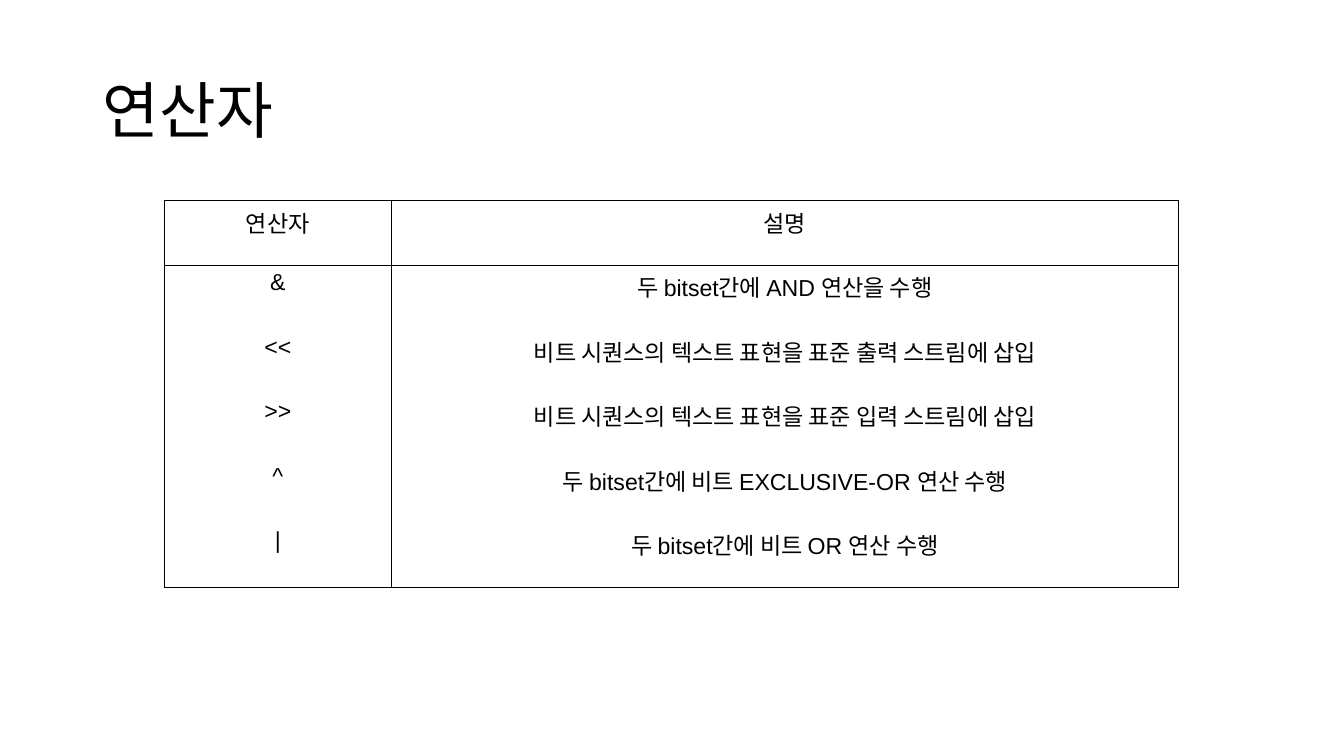
from dataclasses import dataclass

from lxml import etree
from pptx import Presentation
from pptx import util as u
from pptx.dml.color import RGBColor
from pptx.enum import text
from pptx.oxml import ns


@dataclass(frozen=True)
class Theme:
    font: str = "Arial"
    ink: str = "000000"
    title: float = 44
    body: float = 16.5
    border: float = 1


THEME = Theme()
ROWS = [
    ("연산자", "설명"),
    ("&", "두 bitset간에 AND 연산을 수행"),
    ("<<", "비트 시퀀스의 텍스트 표현을 표준 출력 스트림에 삽입"),
    (">>", "비트 시퀀스의 텍스트 표현을 표준 입력 스트림에 삽입"),
    ("^", "두 bitset간에 비트 EXCLUSIVE-OR 연산 수행"),
    ("|", "두 bitset간에 비트 OR 연산 수행"),
]


def write(tf, content, size, align):
    p = tf.paragraphs[0]
    p.text = content
    p.alignment = align
    p.font.name = THEME.font
    p.font.size = u.Pt(size)
    p.font.color.rgb = RGBColor.from_string(THEME.ink)
    return p


def set_borders(cell, sides):
    tcPr = cell._tc.get_or_add_tcPr()
    for i, side in enumerate("LRTB"):
        ln = etree.Element(ns.qn(f"a:ln{side}"), w=str(u.Pt(THEME.border)))
        if side in sides:
            fill = etree.SubElement(ln, ns.qn("a:solidFill"))
            etree.SubElement(fill, ns.qn("a:srgbClr"), val=THEME.ink)
        else:
            etree.SubElement(ln, ns.qn("a:noFill"))
        tcPr.insert(i, ln)


def add_title(s, box, content):
    tf = s.shapes.add_textbox(*map(u.Inches, box)).text_frame
    tf.word_wrap = True
    tf.vertical_anchor = text.MSO_ANCHOR.MIDDLE
    p = write(tf, content, THEME.title, text.PP_ALIGN.LEFT)
    p.line_spacing = 0.9


def add_operator_table(s, box, rows, operator_width):
    left, top, width, height = box
    frame = s.shapes.add_table(len(rows), 2, *map(u.Inches, box))
    table = frame.table
    table.first_row = table.horz_banding = False
    table.columns[0].width = u.Inches(operator_width)
    table.columns[1].width = u.Inches(width - operator_width)
    last = len(rows) - 1
    for i, row in enumerate(rows):
        table.rows[i].height = u.Inches(height / len(rows))
        sides = "LR" + ("T" if i <= 1 else "") + ("B" if i in (0, last) else "")
        for j, content in enumerate(row):
            cell = table.cell(i, j)
            cell.fill.background()
            write(cell.text_frame, content, THEME.body, text.PP_ALIGN.CENTER)
            set_borders(cell, sides)


def build_slide(prs):
    s = prs.slides.add_slide(prs.slide_layouts[6])
    add_title(s, (0.92, 0.4, 11.5, 1.45), "연산자")
    add_operator_table(s, (1.63, 1.99, 10.06, 3.84), ROWS, 2.25)


prs = Presentation()
prs.slide_width = u.Inches(13.33)
prs.slide_height = u.Inches(7.5)
build_slide(prs)
prs.save("out.pptx")
